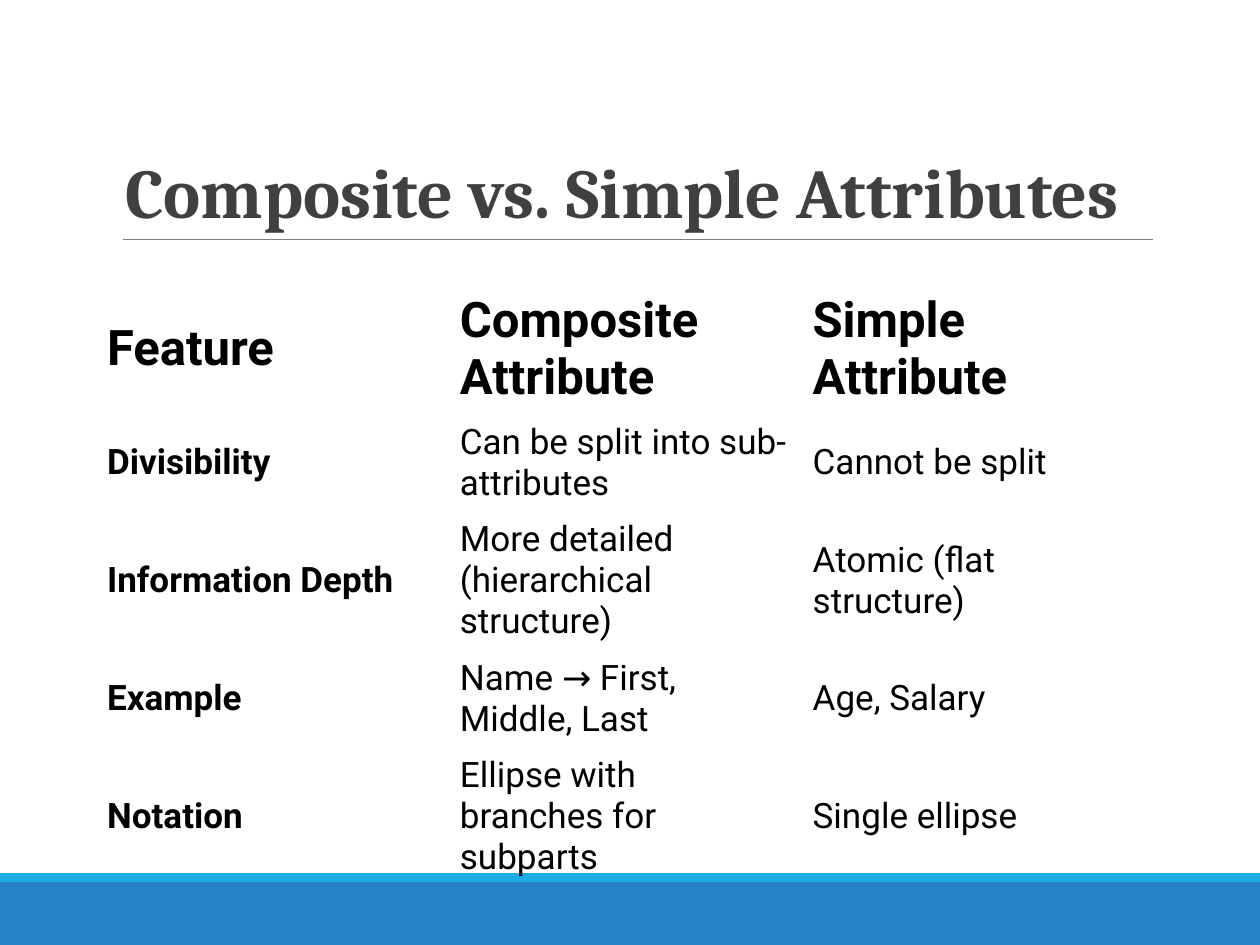
from pptx import Presentation
from pptx.dml.color import RGBColor
from pptx.enum.shapes import MSO_CONNECTOR, MSO_SHAPE
from pptx.enum.text import MSO_ANCHOR
from pptx.oxml.ns import qn
from pptx.util import Inches, Pt
from lxml import etree

RECTANGLE = MSO_SHAPE.RECTANGLE
STRAIGHT = MSO_CONNECTOR.STRAIGHT
MIDDLE = MSO_ANCHOR.MIDDLE
BOTTOM = MSO_ANCHOR.BOTTOM
BLUE = RGBColor(0x26, 0x83, 0xC6)
CYAN = RGBColor(0x1C, 0xAD, 0xE4)
GRAY = RGBColor(0x7F, 0x7F, 0x7F)
DARK = RGBColor(0x40, 0x40, 0x40)
BLACK = RGBColor(0, 0, 0)
PLAIN_TABLE_STYLE = "{2D5ABB26-0587-4C30-8999-92F81FD0307C}"

ROWS = [
    ("Feature", "Composite Attribute", "Simple Attribute"),
    ("Divisibility", "Can be split into sub-attributes", "Cannot be split"),
    ("Information Depth", "More detailed (hierarchical structure)", "Atomic (flat structure)"),
    ("Example", "Name → First, Middle, Last", "Age, Salary"),
    ("Notation", "Ellipse with branches for subparts", "Single ellipse"),
]
ROW_HEIGHTS = [1.04, 0.77, 1.1, 0.77, 1.1]
COLUMN_WIDTH = 2.8


def add_text(para, text, color, font_format):
    span = para.add_run()
    span.text = text
    span.font.color.rgb = color
    for name, value in font_format.items():
        setattr(span.font, name, value)


deck = Presentation()
deck.slide_width, deck.slide_height = Inches(10), Inches(7.5)
page = deck.slides.add_slide(deck.slide_layouts[6])

for top, height, color in [(7, 0.5, BLUE), (6.93, 0.07, CYAN)]:
    band = page.shapes.add_shape(RECTANGLE, 0, Inches(top), Inches(10), Inches(height))
    band.shadow.inherit = False
    band.fill.solid()
    band.fill.fore_color.rgb = color
    band.line.fill.background()

rule = page.shapes.add_connector(STRAIGHT, Inches(0.98), Inches(1.9), Inches(9.15), Inches(1.9))
rule.line.color.rgb = GRAY
rule.line.width = Pt(0.5)
etree.SubElement(rule.element.spPr, qn("a:effectLst"))

title = page.shapes.add_textbox(Inches(0.9), Inches(0.31), Inches(8.25), Inches(1.59))
title.text_frame.word_wrap = True
title.text_frame.vertical_anchor = BOTTOM
title_para = title.text_frame.paragraphs[0]
title_para.line_spacing = 0.85
add_text(title_para, "Composite vs. Simple Attributes", DARK,
         {"name": "Cambria", "size": Pt(40), "bold": True})

frame = page.shapes.add_table(len(ROWS), len(ROWS[0]), Inches(0.75), Inches(2.25),
                              Inches(COLUMN_WIDTH * len(ROWS[0])), Inches(sum(ROW_HEIGHTS)))
table = frame.table
table.first_row = False
table.horz_banding = False
frame.element.find(".//" + qn("a:tableStyleId")).text = PLAIN_TABLE_STYLE
for column in table.columns:
    column.width = Inches(COLUMN_WIDTH)

for row_index, (texts, height) in enumerate(zip(ROWS, ROW_HEIGHTS)):
    table.rows[row_index].height = Inches(height)
    for column_index, text in enumerate(texts):
        cell = table.cell(row_index, column_index)
        cell.fill.background()
        cell.vertical_anchor = MIDDLE
        add_text(cell.text_frame.paragraphs[0], text, BLACK, {
            "name": "Roboto",
            "size": Pt(28 if row_index == 0 else 20),
            "bold": row_index == 0 or column_index == 0,
        })

deck.save("out.pptx")
